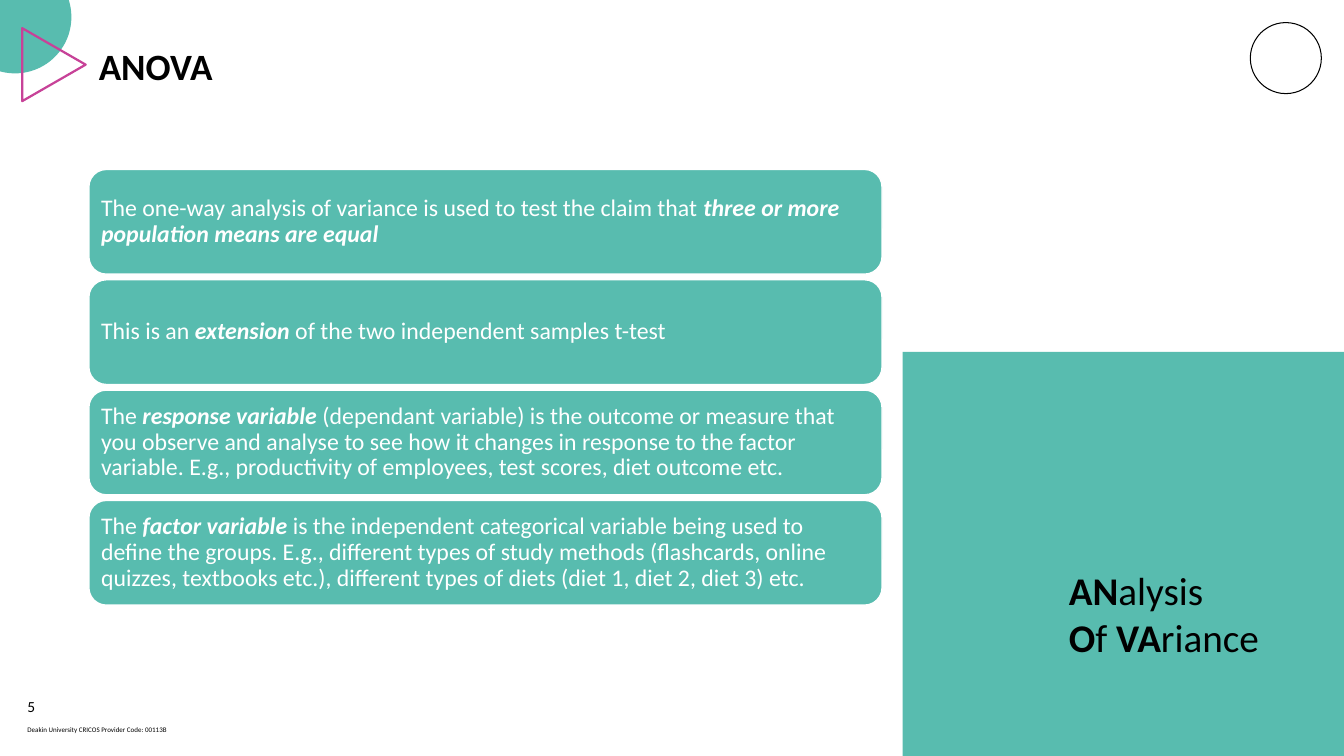
from dataclasses import dataclass
from math import acos, asin, cos, sin

from pptx import Presentation
from pptx.dml.color import RGBColor
from pptx.enum.shapes import MSO_SHAPE
from pptx.enum.text import MSO_ANCHOR, PP_ALIGN
from pptx.util import Cm, Pt

OVAL, RECTANGLE, ROUNDED = MSO_SHAPE.OVAL, MSO_SHAPE.RECTANGLE, MSO_SHAPE.ROUNDED_RECTANGLE
TOP, MIDDLE, LEFT = MSO_ANCHOR.TOP, MSO_ANCHOR.MIDDLE, PP_ALIGN.LEFT
WIDTH, HEIGHT = 33.87, 19.05


@dataclass(frozen=True)
class Theme:
    """Font, colours and type sizes of the slide."""
    font: str = "Calibri"
    teal: RGBColor = RGBColor(0x58, 0xBC, 0xAF)
    pink: RGBColor = RGBColor(0xC7, 0x42, 0x98)
    ink: RGBColor = RGBColor(0, 0, 0)
    white: RGBColor = RGBColor(255, 255, 255)
    title: float = 26.5
    panel: float = 28
    card: float = 17
    number: float = 11
    provider: float = 5


THEME = Theme()

CARDS = [
    [("The one-way analysis of variance is used to test the claim that ", ""),
     ("three or more population means are equal", "bi")],
    [("This is an ", ""), ("extension", "bi"),
     (" of the two independent samples t-test", "")],
    [("The ", ""), ("response variable ", "bi"),
     ("(dependant variable) is the outcome or measure that you observe and analyse "
      "to see how it changes in response to the factor variable. E.g., productivity "
      "of employees, test scores, diet outcome etc.", "")],
    [("The ", ""), ("factor variable ", "bi"),
     ("is the independent categorical variable being used to define the groups. "
      "E.g., different types of study methods (flashcards, online quizzes, textbooks "
      "etc.), different types of diets (diet 1, diet 2, diet 3) etc.", "")],
]
ACRONYM = [
    [("AN", "b"), ("alysis", "")],
    [("O", "b"), ("f ", ""), ("VA", "b"), ("riance", "")],
]


def paint(shape, fill=None, line=None, weight=1):
    """Set a shape's fill and outline, leaving out whichever is not given."""
    shape.shadow.inherit = False
    if fill is None:
        shape.fill.background()
    else:
        shape.fill.solid()
        shape.fill.fore_color.rgb = fill
    if line is None:
        shape.line.fill.background()
    else:
        shape.line.color.rgb = line
        shape.line.width = Pt(weight)


def write(shape, lines, size, color, insets, anchor=TOP, spacing=1.0):
    """Write lines of (text, style) runs as one left-aligned paragraph."""
    frame = shape.text_frame
    frame.word_wrap = True
    frame.vertical_anchor = anchor
    (frame.margin_left, frame.margin_top,
     frame.margin_right, frame.margin_bottom) = map(Cm, insets)
    paragraph = frame.paragraphs[0]
    paragraph.alignment = LEFT
    paragraph.line_spacing = spacing
    for index, line in enumerate(lines):
        if index:
            paragraph.add_line_break()
        for text, style in line:
            run = paragraph.add_run()
            run.text = text
            run.font.name = THEME.font
            run.font.size = Pt(size)
            run.font.color.rgb = color
            run.font.bold = "b" in style
            run.font.italic = "i" in style


def outline(slide, points):
    """Build a closed polygon from points in centimetres."""
    corners = [(Cm(x), Cm(y)) for x, y in points]
    builder = slide.shapes.build_freeform(*corners[0])
    builder.add_line_segments(corners[1:])
    return builder.convert_to_shape()


def add_corner_mark(slide, left, top, radius):
    """Draw the disc cut by the slide corner and the triangle over it."""
    center_x, center_y = left + 0.38, top + 0.43
    start, end = -asin(0.43 / radius), acos(-0.38 / radius)
    angles = [start + (end - start) * step / 60 for step in range(61)]
    arc = [(center_x + radius * cos(a), center_y + radius * sin(a)) for a in angles]
    paint(outline(slide, [(left, top)] + arc), THEME.teal)
    triangle = [(left + 0.56, top + 0.71), (left + 0.56, top + 2.55),
                (left + 2.16, top + 1.63)]
    paint(outline(slide, triangle), line=THEME.pink, weight=1.6)


def add_ring(slide, left, top, size):
    """Draw the thin ring in the upper right corner."""
    ring = slide.shapes.add_shape(OVAL, Cm(left), Cm(top), Cm(size), Cm(size))
    paint(ring, line=THEME.ink, weight=0.75)


def add_label(slide, box, line, size, insets, anchor=TOP, spacing=1.0):
    """Place one line of dark text in a box."""
    label = slide.shapes.add_textbox(*map(Cm, box))
    write(label, [line], size, THEME.ink, insets, anchor, spacing)


def add_panel(slide, left, top, width, height):
    """Place the teal panel that spells out the acronym."""
    panel = slide.shapes.add_shape(RECTANGLE, Cm(left), Cm(top), Cm(width), Cm(height))
    paint(panel, THEME.teal)
    write(panel, ACRONYM, THEME.panel, THEME.ink, (4.19, 5.41, 1.8, 0.13))


def add_cards(slide, left, top, width, height, gap):
    """Stack the statement cards from the top of the box."""
    for index, statement in enumerate(CARDS):
        card = slide.shapes.add_shape(
            ROUNDED, Cm(left), Cm(top + index * (height + gap)), Cm(width), Cm(height))
        paint(card, THEME.teal, THEME.white)
        write(card, [statement], THEME.card, THEME.white, (0.18,) * 4, MIDDLE, 0.9)


def add_footer(slide, left, top):
    """Place the slide number above the provider code."""
    add_label(slide, (left, top, 1.6, 0.69), [("5", "")], THEME.number,
              (0, 0.13, 0.25, 0.13), MIDDLE, 0.9)
    add_label(slide, (left, top + 0.71, 18.39, 0.51),
              [("Deakin University CRICOS Provider Code: 00113B", "")],
              THEME.provider, (0, 0.1, 0, 0.1))


def main():
    """Build the ANOVA slide and save it."""
    deck = Presentation()
    deck.slide_width, deck.slide_height = Cm(WIDTH), Cm(HEIGHT)
    slide = deck.slides.add_slide(deck.slide_layouts[6])
    add_ring(slide, 31.51, 0.57, 1.79)
    add_corner_mark(slide, 0, 0, 1.42)
    add_label(slide, (2.24, 0.97, 15.29, 2.59), [("ANOVA", "b")], THEME.title,
              (0.25, 0.13, 0.25, 0.13))
    add_panel(slide, 22.75, 8.87, WIDTH - 22.75, HEIGHT - 8.87)
    add_footer(slide, 0.69, 17.48)
    add_cards(slide, 2.24, 4.27, 19.99, 2.64, 0.14)
    deck.save("out.pptx")


if __name__ == "__main__":
    main()
